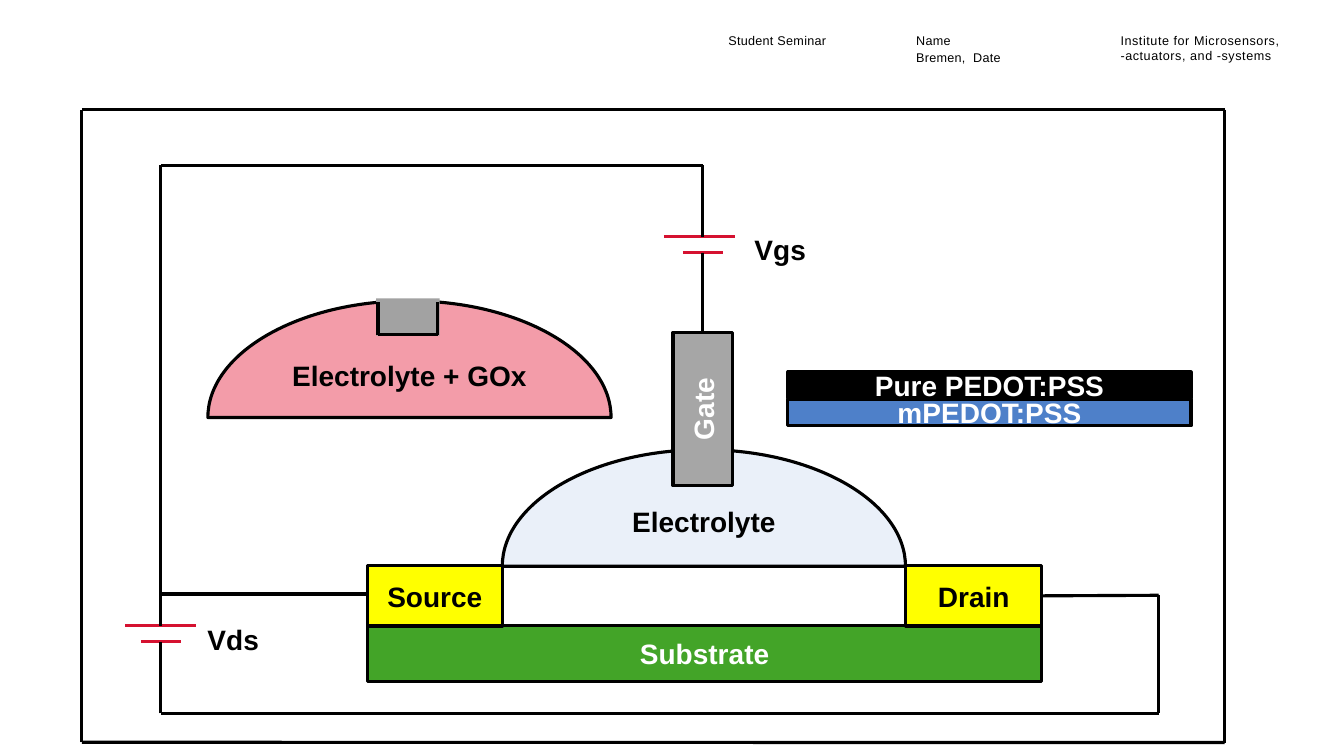
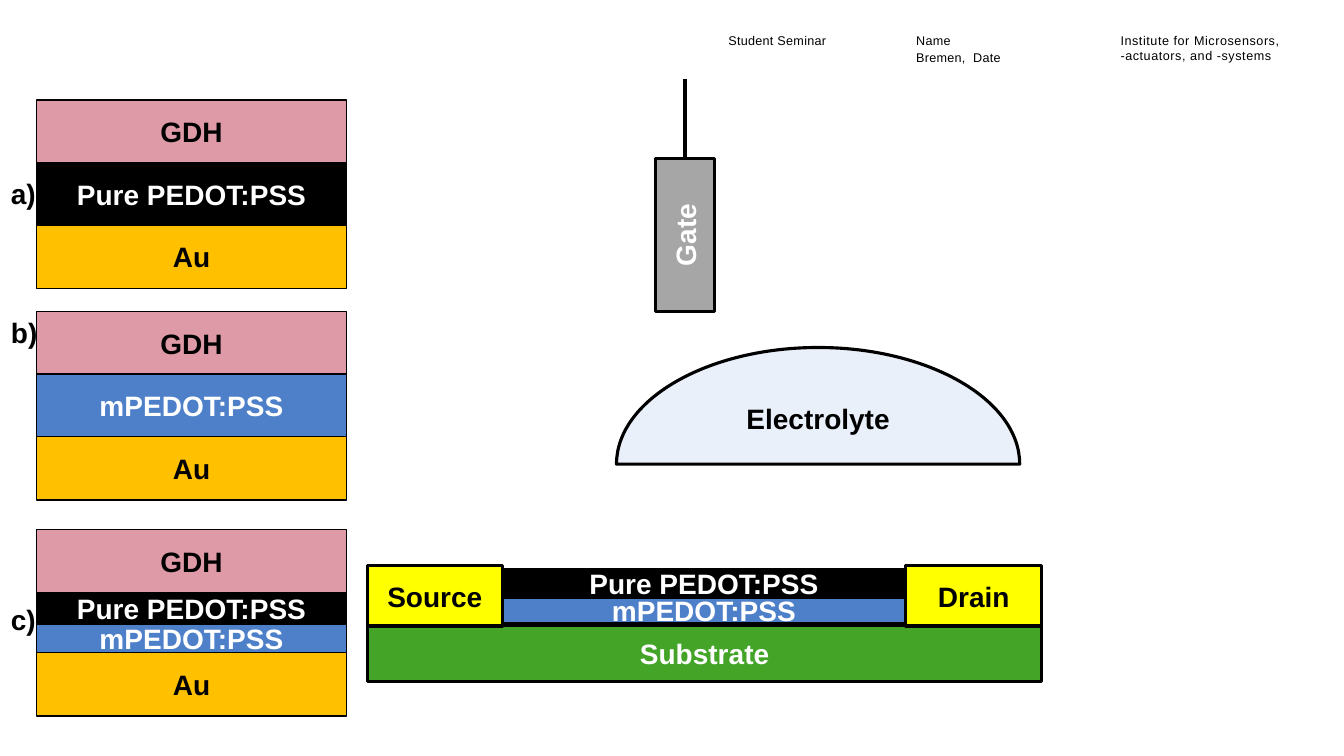
"""Draw the transistor circuit and its layer stacks on two slides."""
from dataclasses import dataclass
from itertools import pairwise

from lxml.etree import SubElement
from pptx import Presentation
from pptx.dml.color import RGBColor as Rgb
from pptx.enum.shapes import MSO_CONNECTOR as Link, MSO_SHAPE as Kind
from pptx.enum.text import MSO_ANCHOR as Anchor, PP_ALIGN as Align
from pptx.oxml.ns import qn
from pptx.util import Pt


@dataclass(frozen=True)
class Theme:
    font: str = "Arial"
    black: str = "000000"
    white: str = "FFFFFF"
    red: str = "D51130"
    green: str = "43A428"
    yellow: str = "FFFF00"
    blue: str = "4E80C9"
    pale: str = "EAF0F9"
    pink: str = "F39CA9"
    rose: str = "DE9BA7"
    gold: str = "FFC000"
    gray: str = "A6A6A6"
    plug: str = "A2A2A2"
    body: float = 20
    small: float = 9
    thick: float = 2.25
    thin: float = 1


T = Theme()
FULL = 45.4
GDH = ("GDH", T.rose, T.black)
PURE = ("Pure PEDOT:PSS", T.black, T.white)
MIXED = ("mPEDOT:PSS", T.blue, T.white)
GOLD = ("Au", T.gold, T.black)


def write(para, text, size=T.body, color=T.black, bold=True):
    run = para.add_run()
    run.text = text
    font = run.font
    font.name, font.size, font.bold = T.font, Pt(size), bold
    font.color.rgb = Rgb.from_string(color)


def paint(shape, fill, line=T.thick):
    shape.shadow.inherit = False
    shape.fill.solid()
    shape.fill.fore_color.rgb = Rgb.from_string(fill)
    if line:
        shape.line.color.rgb = Rgb.from_string(T.black)
        shape.line.width = Pt(line)
    else:
        shape.line.fill.background()


def center(shape, text, color):
    frame = shape.text_frame
    frame.word_wrap = True
    frame.vertical_anchor = Anchor.MIDDLE
    para = frame.paragraphs[0]
    para.alignment = Align.CENTER
    write(para, text, color=color)


def block(slide, x, y, w, h, part, line=T.thick):
    text, fill, color = part
    shape = slide.shapes.add_shape(Kind.RECTANGLE, Pt(x), Pt(y), Pt(w), Pt(h))
    paint(shape, fill, line)
    if text:
        center(shape, text, color)
    return shape


def dome(slide, x, y, text, fill, drop):
    wide, high, bend = Pt(144), Pt(83.3), 0.55
    left, top = Pt(x), Pt(y)
    pen = slide.shapes.build_freeform(left, top + high)
    pen.add_line_segments([(left + wide, top),
                           (left + 2 * wide, top + high)], close=True)
    shape = pen.convert_to_shape()
    rise, run = high * (1 - bend), wide * bend
    curves = ([(0, rise), (wide - run, 0), (wide, 0)],
              [(wide + run, 0), (2 * wide, rise), (2 * wide, high)])
    sides = list(shape.element.iter(qn("a:lnTo")))
    for side, curve in zip(sides, curves):
        arc = side.makeelement(qn("a:cubicBezTo"), {})
        for px, py in curve:
            SubElement(arc, qn("a:pt"), x=str(round(px)), y=str(round(py)))
        side.getparent().replace(side, arc)
    paint(shape, fill)
    center(shape, text, T.black)
    shape.text_frame.margin_top = Pt(drop)


def wire(slide, points, color=T.black, begin=None, end=None):
    lines = []
    for start, stop in pairwise(points):
        line = slide.shapes.add_connector(
            Link.STRAIGHT, *(Pt(v) for v in (*start, *stop)))
        line.line.color.rgb = Rgb.from_string(color)
        line.line.width = Pt(T.thick)
        SubElement(line.element.spPr, qn("a:effectLst"))
        lines.append(line)
    if begin:
        lines[0].begin_connect(*begin)
    if end:
        lines[-1].end_connect(*end)


def cell(slide, x, y, skew=0):
    for mid, half, top in ((x - skew, 25.5, y), (x, 14.2, y + 11.4)):
        wire(slide, [(mid - half, top), (mid + half, top)], T.red)


def label(slide, x, y, text):
    box = slide.shapes.add_textbox(Pt(x), Pt(y), Pt(57), Pt(32))
    box.text_frame.word_wrap = True
    write(box.text_frame.paragraphs[0], text)


def gate(slide, x, y):
    shape = block(slide, x, y, 42.6, 109.5, ("Gate", T.gray, T.white))
    shape.element.txBody.bodyPr.set("vert", "vert270")
    return shape


def base(slide):
    block(slide, 262.4, 447, 481.8, 39.6, ("Substrate", T.green, T.white))
    return [block(slide, x, 404, w, 43.2, (text, T.yellow, T.black))
            for x, w, text in ((262.4, 96.4, "Source"), (647, 97.2, "Drain"))]


def film(slide, x, y):
    for part, top in ((MIXED, y + 19.6), (PURE, y)):
        block(slide, x, top, 288, 18.9, part)


def stack(slide, y, layers):
    for part, drop, high in layers:
        block(slide, 26.1, y + drop, 221.3, high, part, T.thin)


def header(slide, layout):
    items = ((520.3, 22.2, 122, 12, 20, ["Student Seminar"]),
             (654.4, 22.2, 146, 12, 20, ["Name", "Bremen,  Date"]),
             (800.4, 23, 142, 11, 40,
              ["Institute for Microsensors, -actuators, and -systems"]))
    for x, y, w, lead, track, lines in items:
        box = slide.shapes.add_textbox(Pt(x), Pt(y), Pt(w), Pt(35.3))
        frame = box.text_frame
        frame.word_wrap = True
        frame.margin_left = frame.margin_right = 0
        frame.margin_top = frame.margin_bottom = 0
        for i, text in enumerate(lines):
            para = frame.add_paragraph() if i else frame.paragraphs[0]
            para.line_spacing = Pt(lead)
            write(para, text, T.small, bold=False)
        for style in box.element.iter(qn("a:rPr")):
            style.set("spc", str(track))
        layout.shapes.element.append(box.element)


def circuit(slide):
    left, right, low, fork = 114.8, 827.7, 509.5, 424.3
    _, drain = base(slide)
    film(slide, 562.8, 265.7)
    dome(slide, 358.8, 321.2, "Electrolyte", T.pale, 22)
    post = gate(slide, 480.7, 237.4)
    cell(slide, 502, 169, 2.3)
    cell(slide, left, 446.9)
    wire(slide, [(502, 169), (502, 118), (left, 118), (left, fork),
                 (left, 446.9)])
    wire(slide, [(502, 180.4), (502, 237.4)], end=(post, 0))
    wire(slide, [(left, fork), (262.4, fork)])
    wire(slide, [(744.2, 425.6), (right, 425.2), (right, low), (left, low),
                 (left, 458.3)], begin=(drain, 3))
    label(slide, 141.1, 441, "Vds")
    label(slide, 531.8, 162.4, "Vgs")
    wire(slide, [(58.4, 78.4), (874.7, 78.4), (874.7, 530.4), (58.4, 530.2),
                 (58.4, 78.4)])
    dome(slide, 148.5, 214.9, "Electrolyte + GOx", T.pink, 26.8)
    block(slide, 268.6, 213.2, 45.4, 26.6, ("", T.plug, T.black), 0)
    wire(slide, [(270, 216), (270, 239), (312.6, 239), (312.6, 215.4)])


def layers(slide):
    base(slide)
    film(slide, 358.8, 407)
    dome(slide, 440.4, 248.2, "Electrolyte", T.pale, 22)
    post = gate(slide, 468, 113)
    wire(slide, [(489.3, 56.2), (489.3, 113)], end=(post, 0))
    for top, mark, place, films, foot in (
            (71.4, "a)", 122.4, [(PURE, 44.6, FULL)], 89.2),
            (222.5, "b)", 222, [(MIXED, 44.6, FULL)], 89.2),
            (378.2, "c)", 427, [(MIXED, 67.5, 20.2), (PURE, 45.9, 21)], 87.8)):
        stack(slide, top, [(GDH, 0, FULL), *films, (GOLD, foot, FULL)])
        label(slide, 0.7, place, mark)


def main():
    deck = Presentation()
    deck.slide_width, deck.slide_height = Pt(960), Pt(540)
    blank = deck.slide_layouts.get_by_name("Blank")
    first, second = (deck.slides.add_slide(blank) for _ in range(2))
    header(first, blank)
    circuit(first)
    layers(second)
    deck.save("out.pptx")


if __name__ == "__main__":
    main()
